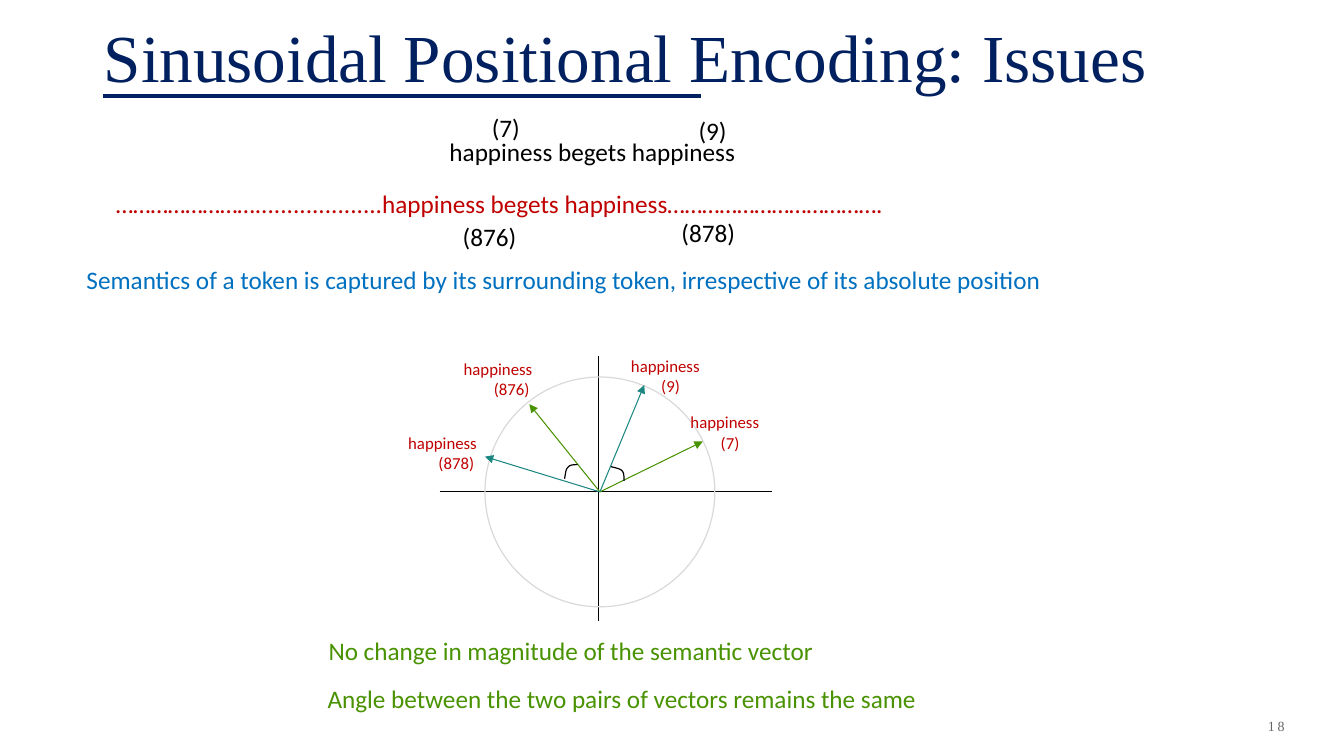
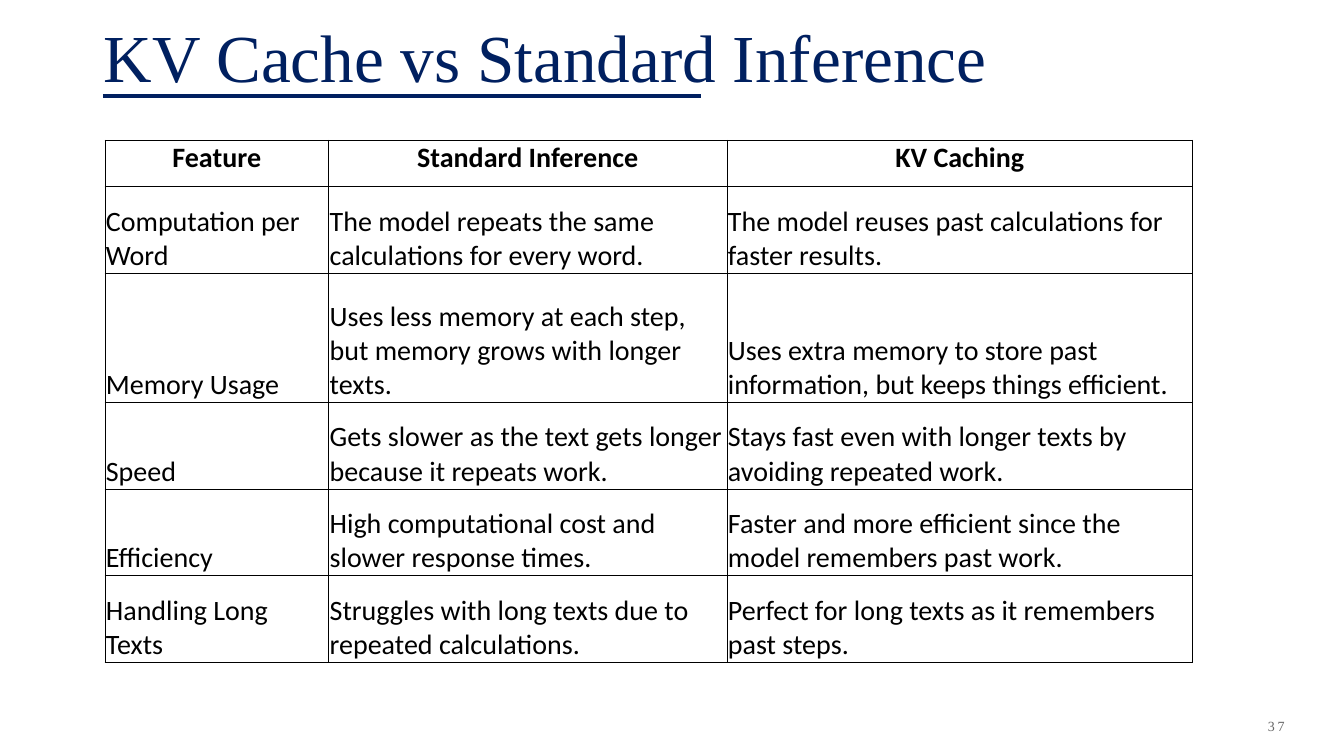
from dataclasses import dataclass

from lxml.etree import SubElement
from pptx import Presentation
from pptx.dml.color import RGBColor as Color
from pptx.enum.shapes import MSO_CONNECTOR as Connector, MSO_SHAPE as Shape
from pptx.enum.text import MSO_ANCHOR as Anchor, PP_ALIGN as Align
from pptx.oxml import parse_xml
from pptx.oxml.ns import nsdecls, qn
from pptx.util import Inches, Pt


@dataclass(frozen=True)
class Theme:
    title_font: str = "Times New Roman"
    body_font: str = "Calibri"
    navy: str = "002060"
    black: str = "000000"
    gray: str = "666666"
    light: str = "D9D9D9"
    red: str = "C00000"
    blue: str = "0070C0"
    green: str = "499200"
    teal: str = "1A8881"
    title_size: float = 48
    table_size: float = 20
    body_size: float = 18
    label_size: float = 12
    number_size: float = 10
    title_line: float = 2.5
    thin_line: float = 0.75
    curve_line: float = 0.85


THEME = Theme()
BLANK_LAYOUT = 6

# Diagram geometry, in inches
CENTER = (5.95, 4.88)
RADIUS = 1.14
LABEL_INDENT = 0.3

VECTORS = [  # tip, colour
    ((6.97, 4.38), THEME.green),
    ((6.39, 3.82), THEME.teal),
    ((5.25, 4.01), THEME.green),
    ((4.81, 4.53), THEME.teal),
]
VECTOR_LABELS = [  # left, top, position of the token
    (6.75, 4.04, "(7)"),
    (6.16, 3.48, "(9)"),
    (4.5, 3.51, "(876)"),
    (3.95, 4.24, "(878)"),
]
ANGLE_MARKS = [  # start point, then two cubic curves
    [(6.06, 4.63), (6.1, 4.64), (6.15, 4.65), (6.17, 4.67),
     (6.19, 4.69), (6.19, 4.73), (6.19, 4.77)],
    [(5.6, 4.75), (5.61, 4.7), (5.61, 4.66), (5.63, 4.64),
     (5.65, 4.61), (5.69, 4.61), (5.73, 4.61)],
]
STATEMENTS = [  # left, top, width, text, colour
    (4.36, 1.3, 3.64, "happiness begets happiness", THEME.black),
    (1.05, 1.82, 11.53,
     "……………………....................happiness begets happiness……………………………….",
     THEME.red),
    (4.78, 1.07, 0.79, "(7)", THEME.black),
    (6.83, 1.09, 0.79, "(9)", THEME.black),
    (4.49, 2.15, 0.79, "(876)", THEME.black),
    (6.66, 2.11, 0.79, "(878)", THEME.black),
    (0.76, 2.57, 11.03,
     "Semantics of a token is captured by its surrounding token, "
     "irrespective of its absolute position", THEME.blue),
    (3.16, 6.25, 6.78, "No change in magnitude of the semantic vector", THEME.green),
    (3.15, 6.73, 6.78, "Angle between the two pairs of vectors remains the same",
     THEME.green),
]

COLUMN_WIDTHS = [2.22, 3.95, 4.62]
ROW_HEIGHTS = [0.46, 0.86, 1.28, 0.86, 0.86, 0.86]
COMPARISON = [
    ("Feature", "Standard Inference", "KV Caching"),
    ("Computation per Word",
     "The model repeats the same calculations for every word.",
     "The model reuses past calculations for faster results."),
    ("Memory Usage",
     "Uses less memory at each step, but memory grows with longer texts.",
     "Uses extra memory to store past information, but keeps things efficient."),
    ("Speed",
     "Gets slower as the text gets longer because it repeats work.",
     "Stays fast even with longer texts by avoiding repeated work."),
    ("Efficiency",
     "High computational cost and slower response times.",
     "Faster and more efficient since the model remembers past work."),
    ("Handling Long Texts",
     "Struggles with long texts due to repeated calculations.",
     "Perfect for long texts as it remembers past steps."),
]


# Text
def add_span(para, text, size, color, font=THEME.body_font, bold=False):
    span = para.add_run()
    span.text = text
    span.font.name = font
    span.font.size = Pt(size)
    span.font.bold = bold
    span.font.color.rgb = Color.from_string(color)
    return span


def add_box(page, left, top, width, height, anchor=Anchor.TOP):
    box = page.shapes.add_textbox(*map(Inches, (left, top, width, height)))
    frame = box.text_frame
    frame.word_wrap = True
    frame.vertical_anchor = anchor
    return frame


def add_vector_label(page, left, top, position):
    frame = add_box(page, left, top, 1.08, 0.5)
    add_span(frame.paragraphs[0], "happiness", THEME.label_size, THEME.red)
    para = frame.add_paragraph()
    para._p.get_or_add_pPr().set("marL", str(Inches(LABEL_INDENT)))
    add_span(para, position, THEME.label_size, THEME.red)


# Lines and outlines
def set_line(shape, color, width):
    shape.line.color.rgb = Color.from_string(color)
    shape.line.width = Pt(width)


def add_line(page, start, end, color, width=THEME.thin_line, arrow=False):
    line = page.shapes.add_connector(Connector.STRAIGHT, *map(Inches, (*start, *end)))
    set_line(line, color, width)
    if arrow:
        SubElement(line.line._get_or_add_ln(), qn("a:tailEnd"), type="triangle")
    SubElement(line._element.spPr, qn("a:effectLst"))


def set_outline(shape, color):
    shape.shadow.inherit = False
    shape.fill.background()
    set_line(shape, color, THEME.curve_line)


def cubic_point(points, t):
    weights = ((1 - t) ** 3, 3 * t * (1 - t) ** 2, 3 * t ** 2 * (1 - t), t ** 3)
    return tuple(Inches(sum(w * point[axis] for w, point in zip(weights, points)))
                 for axis in (0, 1))


def add_angle_mark(page, points, steps=8):
    outline = [cubic_point(points[first:first + 4], step / steps)
               for first in range(0, len(points) - 1, 3)
               for step in range(1, steps + 1)]
    builder = page.shapes.build_freeform(*map(Inches, points[0]))
    builder.add_line_segments(outline, close=False)
    set_outline(builder.convert_to_shape(), THEME.black)


# Table
def set_borders(cell):
    properties = cell._tc.get_or_add_tcPr()
    for index, side in enumerate(("lnL", "lnR", "lnT", "lnB")):
        properties.insert(index, parse_xml(
            f'<a:{side} {nsdecls("a")} w="{Pt(0.5)}"><a:solidFill>'
            f'<a:srgbClr val="{THEME.black}"/></a:solidFill></a:{side}>'))


def fill_cell(cell, text, header):
    cell.fill.background()
    set_borders(cell)
    cell.margin_left = cell.margin_right = cell.margin_top = Inches(0.01)
    cell.margin_bottom = 0
    cell.vertical_anchor = Anchor.TOP if header else Anchor.BOTTOM
    para = cell.text_frame.paragraphs[0]
    para.alignment = Align.CENTER if header else Align.LEFT
    add_span(para, text, THEME.table_size, THEME.black, bold=header)


def add_comparison(page, left, top):
    size = (sum(COLUMN_WIDTHS), sum(ROW_HEIGHTS))
    table = page.shapes.add_table(len(ROW_HEIGHTS), len(COLUMN_WIDTHS),
                                  *map(Inches, (left, top, *size))).table
    table.first_row = table.horz_banding = False
    for column, width in zip(table.columns, COLUMN_WIDTHS):
        column.width = Inches(width)
    for index, (row, height) in enumerate(zip(table.rows, ROW_HEIGHTS)):
        row.height = Inches(height)
        for cell, text in zip(row.cells, COMPARISON[index]):
            fill_cell(cell, text, header=index == 0)


# Pages
def add_page(deck, title, number):
    page = deck.slides.add_slide(deck.slide_layouts[BLANK_LAYOUT])
    add_line(page, (1.02, 0.95), (6.95, 0.95), THEME.navy, THEME.title_line)
    frame = add_box(page, 0.93, -0.22, 11.53, 1.22, Anchor.BOTTOM)
    add_span(frame.paragraphs[0], title, THEME.title_size, THEME.navy, THEME.title_font)
    para = add_box(page, 10.92, 6.95, 1.92, 0.5, Anchor.MIDDLE).paragraphs[0]
    para.alignment = Align.RIGHT
    span = add_span(para, number, THEME.number_size, THEME.gray, THEME.title_font)
    span._r.get_or_add_rPr().set("spc", "200")
    return page


def add_vector_diagram(page):
    x, y = CENTER
    add_line(page, (5.94, 3.53), (5.94, 6.16), THEME.black)
    add_line(page, (4.36, y), (7.66, y), THEME.black)
    circle = page.shapes.add_shape(Shape.OVAL, *map(
        Inches, (x - RADIUS, y - RADIUS, 2 * RADIUS, 2 * RADIUS)))
    set_outline(circle, THEME.light)
    for tip, color in VECTORS:
        add_line(page, CENTER, tip, color, arrow=True)
    for points in ANGLE_MARKS:
        add_angle_mark(page, points)
    for label in VECTOR_LABELS:
        add_vector_label(page, *label)


def main():
    deck = Presentation()
    deck.slide_width, deck.slide_height = Inches(13.33), Inches(7.5)

    page = add_page(deck, "Sinusoidal Positional Encoding: Issues", "18")
    for left, top, width, text, color in STATEMENTS:
        frame = add_box(page, left, top, width, 0.4)
        add_span(frame.paragraphs[0], text, THEME.body_size, color)
    add_vector_diagram(page)

    page = add_page(deck, "KV Cache vs Standard Inference", "37")
    add_comparison(page, 1.04, 1.39)

    deck.save("out.pptx")


if __name__ == "__main__":
    main()
